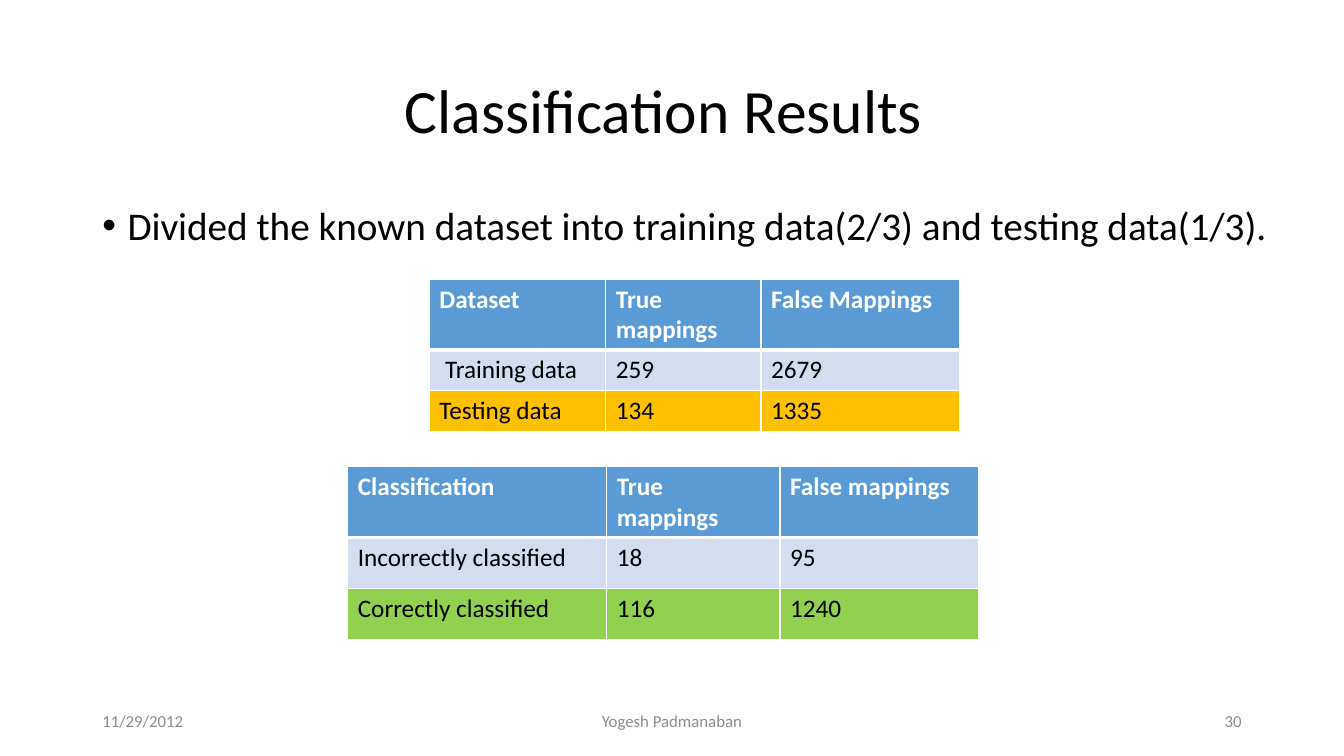
import lxml.etree
import pptx
import pptx.dml.color
import pptx.enum.text
import pptx.oxml.ns
import pptx.util

Pt = pptx.util.Pt
ALIGN = pptx.enum.text.PP_ALIGN
ANCHOR = pptx.enum.text.MSO_ANCHOR
HEADER_BLUE, PALE_BLUE, AMBER, GREEN = "5B9BD5", "D2DEEF", "FFC000", "92D050"
BLACK, WHITE, GREY = "000000", "FFFFFF", "8C8C8C"


def color(hex_code):
    return pptx.dml.color.RGBColor.from_string(hex_code)


def add_child(parent, tag, **attributes):
    child = lxml.etree.SubElement(parent, pptx.oxml.ns.qn(tag))
    for key, value in attributes.items():
        child.set(key, str(value))
    return child


def write(frame, text, size=18, ink=BLACK, bold=False, align=ALIGN.LEFT,
          spacing=None, bullet_indent=None):
    """Put one formatted paragraph into a text frame."""
    paragraph = frame.paragraphs[0]
    paragraph.text = text
    paragraph.alignment = align
    if bullet_indent:
        properties = paragraph._p.get_or_add_pPr()
        properties.set("marL", str(Pt(bullet_indent)))
        properties.set("indent", str(-Pt(bullet_indent)))
        add_child(properties, "a:buFont", typeface="Arial")
        add_child(properties, "a:buChar", char="•")
    if spacing:
        paragraph.line_spacing = spacing
    font = paragraph.font
    font.name, font.size, font.bold = "Calibri", Pt(size), bold
    font.color.rgb = color(ink)


def add_text(slide, box, text, anchor=ANCHOR.MIDDLE, inset=7.2, **style):
    frame = slide.shapes.add_textbox(*map(Pt, box)).text_frame
    frame.word_wrap = True
    frame.vertical_anchor = anchor
    frame.margin_left = Pt(inset)
    write(frame, text, **style)


def set_borders(cell, is_header):
    """Draw white cell edges, thicker on the header's lower edge."""
    properties = cell._tc.get_or_add_tcPr()
    widths = {"a:lnL": 1, "a:lnR": 1, "a:lnT": 1, "a:lnB": 3 if is_header else 1}
    for tag, width in widths.items():
        line = add_child(properties, tag, w=Pt(width))
        add_child(add_child(line, "a:solidFill"), "a:srgbClr", val=WHITE)


def add_results_table(slide, left, top, column_widths, row_height, rows, highlight):
    """Place a table with a header row and a highlighted last row."""
    table = slide.shapes.add_table(
        len(rows), len(column_widths), Pt(left), Pt(top),
        Pt(sum(column_widths)), Pt(row_height * len(rows))).table
    for column, width in zip(table.columns, column_widths):
        column.width = Pt(width)
    for r, (values, fill) in enumerate(zip(rows, (HEADER_BLUE, PALE_BLUE, highlight))):
        table.rows[r].height = Pt(row_height)
        is_header = r == 0
        for c, value in enumerate(values):
            cell = table.cell(r, c)
            set_borders(cell, is_header)
            cell.fill.solid()
            cell.fill.fore_color.rgb = color(fill)
            write(cell.text_frame, value, ink=WHITE if is_header else BLACK,
                  bold=is_header)


def add_footer(slide, left, top, width, height):
    side, middle = 258, 228
    parts = (
        (left, side, "11/29/2012", ALIGN.LEFT),
        (left + (width - middle) / 2, middle, "Yogesh Padmanaban", ALIGN.CENTER),
        (left + width - side, side, "30", ALIGN.RIGHT),
    )
    for part_left, part_width, text, align in parts:
        add_text(slide, (part_left, top, part_width, height), text,
                 size=12, ink=GREY, align=align)


def main():
    deck = pptx.Presentation()
    deck.slide_width, deck.slide_height = Pt(960), Pt(540)
    slide = deck.slides.add_slide(deck.slide_layouts[6])

    add_text(slide, (66, 28.8, 828, 104.4), "Classification Results",
             inset=223.2, size=44, spacing=0.9)
    add_text(slide, (66, 144, 855.4, 342.6),
             "Divided the known dataset into training data(2/3) and testing data(1/3).",
             anchor=ANCHOR.TOP, size=28, spacing=0.9, bullet_indent=18)
    add_results_table(slide, 306.7, 199.4, (126, 110.9, 141.8), 29.2, (
        ("Dataset", "True mappings", "False Mappings"),
        (" Training data", "259", "2679"),
        ("Testing data", "134", "1335"),
    ), AMBER)
    add_results_table(slide, 248.4, 333.4, (185, 123.8, 141.8), 36.5, (
        ("Classification", "True mappings", "False mappings"),
        ("Incorrectly classified", "18", "95"),
        ("Correctly classified", "116", "1240"),
    ), GREEN)
    add_footer(slide, 66, 500.5, 828, 28.8)
    deck.save("out.pptx")


if __name__ == "__main__":
    main()
